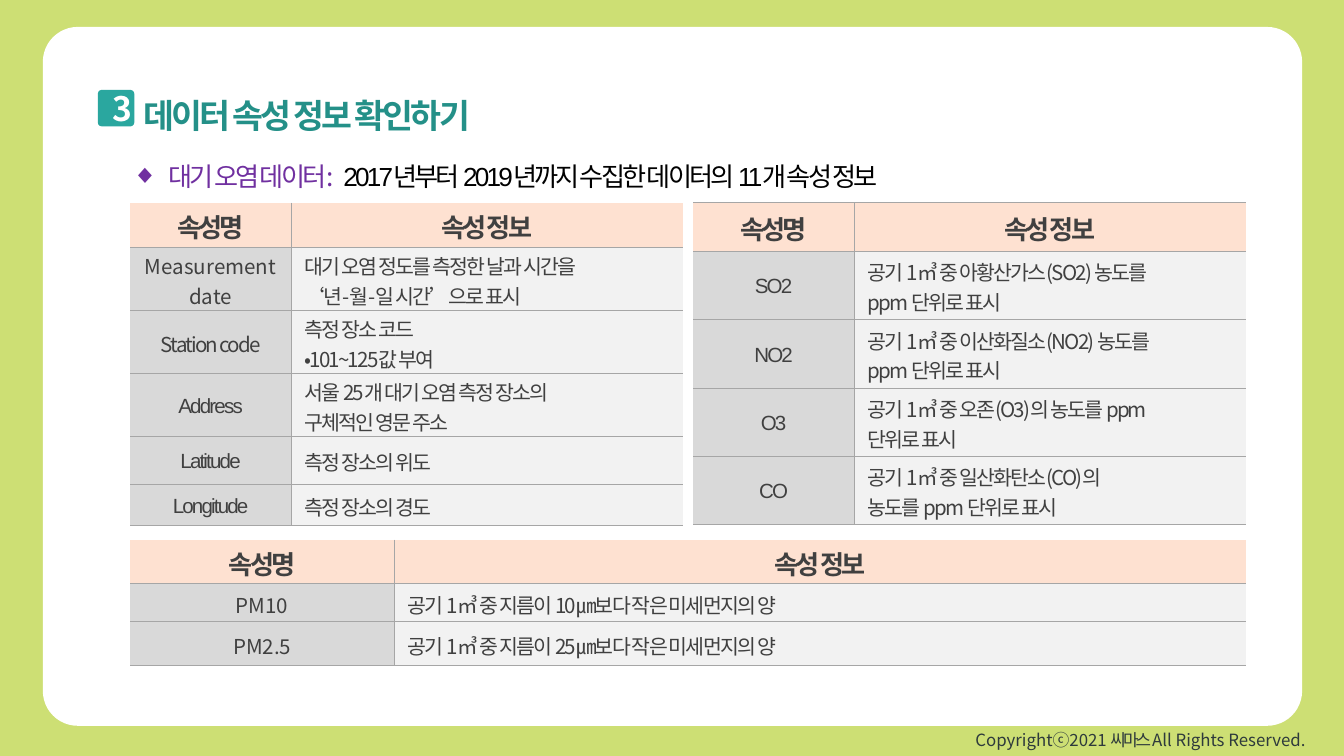
"""Build a slide of three attribute tables for an air pollution data set."""
from dataclasses import dataclass

import lxml.etree
import pptx
import pptx.dml.color
import pptx.enum.shapes
import pptx.enum.text
import pptx.oxml.ns
import pptx.util
from pptx.util import Cm, Pt

COLORS = {
    "background": "CDDF74", "panel": "FFFFFF", "footer": "2E3A3C",
    "title": "249088", "badge": "2AA79F", "accent": "7030A0", "black": "000000",
    "header": "FEE1D1", "label": "D9D9D9", "info": "F2F2F2",
    "text": "404040", "border": "A6A6A6",
}
NOTO = "Noto Sans CJK KR"
ARIAL = "Arial"
ALIGN = pptx.enum.text.PP_ALIGN
ANCHOR = pptx.enum.text.MSO_ANCHOR
HEADERS = ("속성명", "속성 정보")


@dataclass
class Attribute:
    label: str
    info: str
    font: str = ARIAL
    spacing: float = -1


@dataclass
class AttributeTable:
    left: float
    top: float
    widths: tuple[float, float]
    heights: list[float]
    attributes: list[Attribute]
    top_line: bool = False


TABLES = [
    AttributeTable(2.46, 3.83, (3.04, 7.4), [0.85, 1.19, 1.19, 1.19, 0.91, 0.76], [
        Attribute("Measurement\ndate", "대기 오염 정도를 측정한 날과 시간을\n‘년-월-일 시간’으로 표시", NOTO, 0),
        Attribute("Station code", "측정 장소 코드\n•101~125값 부여", NOTO),
        Attribute("Address", "서울 25개 대기 오염 측정 장소의\n구체적인 영문 주소"),
        Attribute("Latitude", "측정 장소의 위도"),
        Attribute("Longitude", "측정 장소의 경도"),
    ]),
    AttributeTable(13.1, 3.83, (3.04, 7.4), [0.92] + [1.29] * 4, [
        Attribute("SO2", "공기 1㎥ 중 아황산가스(SO2) 농도를\nppm 단위로 표시"),
        Attribute("NO2", "공기 1㎥ 중 이산화질소(NO2) 농도를\nppm 단위로 표시"),
        Attribute("O3", "공기 1㎥ 중 오존(O3)의 농도를 ppm\n단위로 표시"),
        Attribute("CO", "공기 1㎥ 중 일산화탄소(CO)의\n농도를 ppm 단위로 표시"),
    ], top_line=True),
    AttributeTable(2.46, 10.2, (4.99, 16.09), [0.83, 0.72, 0.83], [
        Attribute("PM10", "공기 1㎥ 중 지름이 10㎛보다 작은 미세먼지의 양", NOTO, 0),
        Attribute("PM2.5", "공기 1㎥ 중 지름이 25㎛보다 작은 미세먼지의 양", NOTO, 0),
    ]),
]


def rgb(name: str) -> pptx.dml.color.RGBColor:
    return pptx.dml.color.RGBColor.from_string(COLORS[name])


def add_xml(parent, tag: str, **attributes: str):
    el = lxml.etree.SubElement(parent, pptx.oxml.ns.qn(tag))
    for key, value in attributes.items():
        el.set(key, value)
    return el


def set_font(font, size: float, color: str, name: str = NOTO,
             bold: bool = False, spacing: float = 0) -> None:
    font.size, font.bold, font.name = Pt(size), bold, name
    font.color.rgb = rgb(color)
    rpr = font._element if hasattr(font, "_element") else font._rPr
    rpr.set("spc", str(int(spacing * 100)))
    add_xml(rpr, "a:ea", typeface=NOTO)


def place(sp, left: float, top: float, width: float, height: float) -> None:
    sp.left, sp.top, sp.width, sp.height = Cm(left), Cm(top), Cm(width), Cm(height)


def add_round_rect(slide, left: float, top: float, width: float, height: float,
                   radius: float, color: str):
    sp = slide.shapes.add_shape(pptx.enum.shapes.MSO_SHAPE.ROUNDED_RECTANGLE,
                                Cm(left), Cm(top), Cm(width), Cm(height))
    sp.adjustments[0] = radius
    sp.shadow.inherit = False
    sp.fill.solid()
    sp.fill.fore_color.rgb = rgb(color)
    sp.line.fill.background()
    return sp


def set_borders(cell, visible: set[str]) -> None:
    tcpr = cell._tc.get_or_add_tcPr()
    for index, side in enumerate("LRTB"):
        ln = lxml.etree.Element(pptx.oxml.ns.qn(f"a:ln{side}"), w=str(Pt(0.25)))
        if side in visible:
            add_xml(add_xml(ln, "a:solidFill"), "a:srgbClr", val=COLORS["border"])
        else:
            add_xml(ln, "a:noFill")
        tcpr.insert(index, ln)


def fill_cell(cell, text: str, fill: str, borders: set[str], align,
              size: float, font: str, bold: bool, spacing: float) -> None:
    cell.text = text
    cell.vertical_anchor = ANCHOR.MIDDLE
    cell.margin_top, cell.margin_bottom = Cm(0.05), Cm(0)
    cell.fill.solid()
    cell.fill.fore_color.rgb = rgb(fill)
    set_borders(cell, borders)
    for p in cell.text_frame.paragraphs:
        p.alignment = align
        set_font(p.font, size, "text", font, bold, spacing)


def add_attribute_table(slide, spec: AttributeTable) -> None:
    frame = slide.shapes.add_table(len(spec.heights), 2, Cm(spec.left), Cm(spec.top),
                                   Cm(sum(spec.widths)), Cm(sum(spec.heights)))
    table = frame.table
    for column, width in zip(table.columns, spec.widths):
        column.width = Cm(width)
    for row, height in zip(table.rows, spec.heights):
        row.height = Cm(height)
    sides = ({"R", "B"}, {"L", "B"})
    for col, text in enumerate(HEADERS):
        borders = sides[col] | ({"T"} if spec.top_line else set())
        fill_cell(table.cell(0, col), text, "header", borders, ALIGN.CENTER,
                  14, ARIAL, True, -1.5)
    for row, item in enumerate(spec.attributes, 1):
        fill_cell(table.cell(row, 0), item.label, "label", sides[0] | {"T"}, ALIGN.CENTER,
                  11, item.font, False, item.spacing)
        fill_cell(table.cell(row, 1), item.info, "info", sides[1] | {"T"}, ALIGN.LEFT,
                  11, NOTO, False, -1)


def add_heading(slide) -> None:
    title = slide.shapes.title
    place(title, 2.46, 1.47, 11.58, 1.12)
    tf = title.text_frame
    tf.text = "데이터 속성 정보 확인하기"
    tf.vertical_anchor = ANCHOR.TOP
    p = tf.paragraphs[0]
    p.alignment, p.line_spacing = ALIGN.LEFT, Pt(27)
    set_font(p.font, 18, "title", bold=True, spacing=-1.5)

    badge = add_round_rect(slide, 1.85, 1.7, 0.69, 0.69, 0.11, "badge")
    badge.text_frame.text = "3"
    p = badge.text_frame.paragraphs[0]
    p.alignment = ALIGN.CENTER
    set_font(p.font, 18, "panel", bold=True)


def add_summary(slide) -> None:
    body = slide.placeholders[1]
    place(body, 2.24, 2.54, 20.45, 1.22)
    p = body.text_frame.paragraphs[0]
    p.line_spacing, p.space_before = Pt(27), Pt(0)
    ppr = p._p.get_or_add_pPr()
    ppr.set("marL", str(Cm(0.69)))
    ppr.set("indent", str(-Cm(0.69)))
    add_xml(add_xml(ppr, "a:buClr"), "a:srgbClr", val=COLORS["accent"])
    add_xml(ppr, "a:buChar", char="◆")
    for text, color, font, spacing in (
        ("대기 오염 데이터", "accent", NOTO, -1.5),
        (": ", "accent", NOTO, 1),
        ("2017년부터 2019년까지 수집한 데이터의 11개 속성 정보", "black", ARIAL, -1.5),
    ):
        r = p.add_run()
        r.text = text
        set_font(r.font, 14, color, font, spacing=spacing)


def add_footer(slide) -> None:
    sp = slide.shapes.add_textbox(Cm(14.81), Cm(13.67), Cm(10.11), Cm(0.64))
    tf = sp.text_frame
    tf.word_wrap = True
    p = tf.paragraphs[0]
    p.alignment = ALIGN.RIGHT
    for text, spacing in (("Copyrightⓒ2021 ", 0), ("씨마스 ", -1.5),
                          ("All Rights Reserved.", 0)):
        r = p.add_run()
        r.text = text
        set_font(r.font, 9, "footer", spacing=spacing)


def main() -> None:
    prs = pptx.Presentation()
    prs.slide_width, prs.slide_height = Cm(25.4), Cm(14.29)
    slide = prs.slides.add_slide(prs.slide_layouts[1])
    slide.background.fill.solid()
    slide.background.fill.fore_color.rgb = rgb("background")
    panel = add_round_rect(slide, 0.81, 0.51, 23.8, 13.21, 0.05, "panel")
    slide.shapes.title.element.addprevious(panel.element)
    add_heading(slide)
    add_summary(slide)
    for spec in TABLES:
        add_attribute_table(slide, spec)
    add_footer(slide)
    prs.save("out.pptx")


if __name__ == "__main__":
    main()
